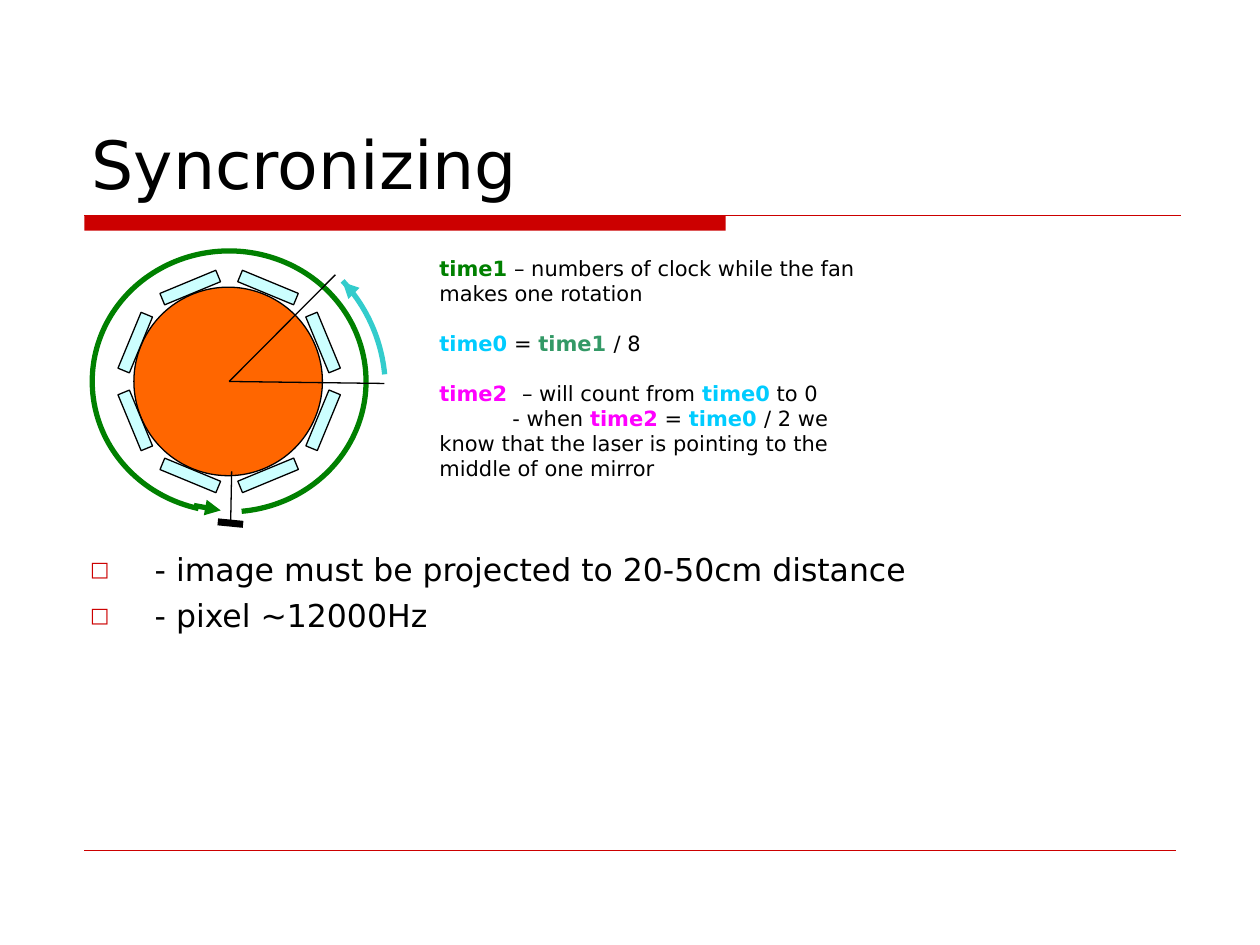
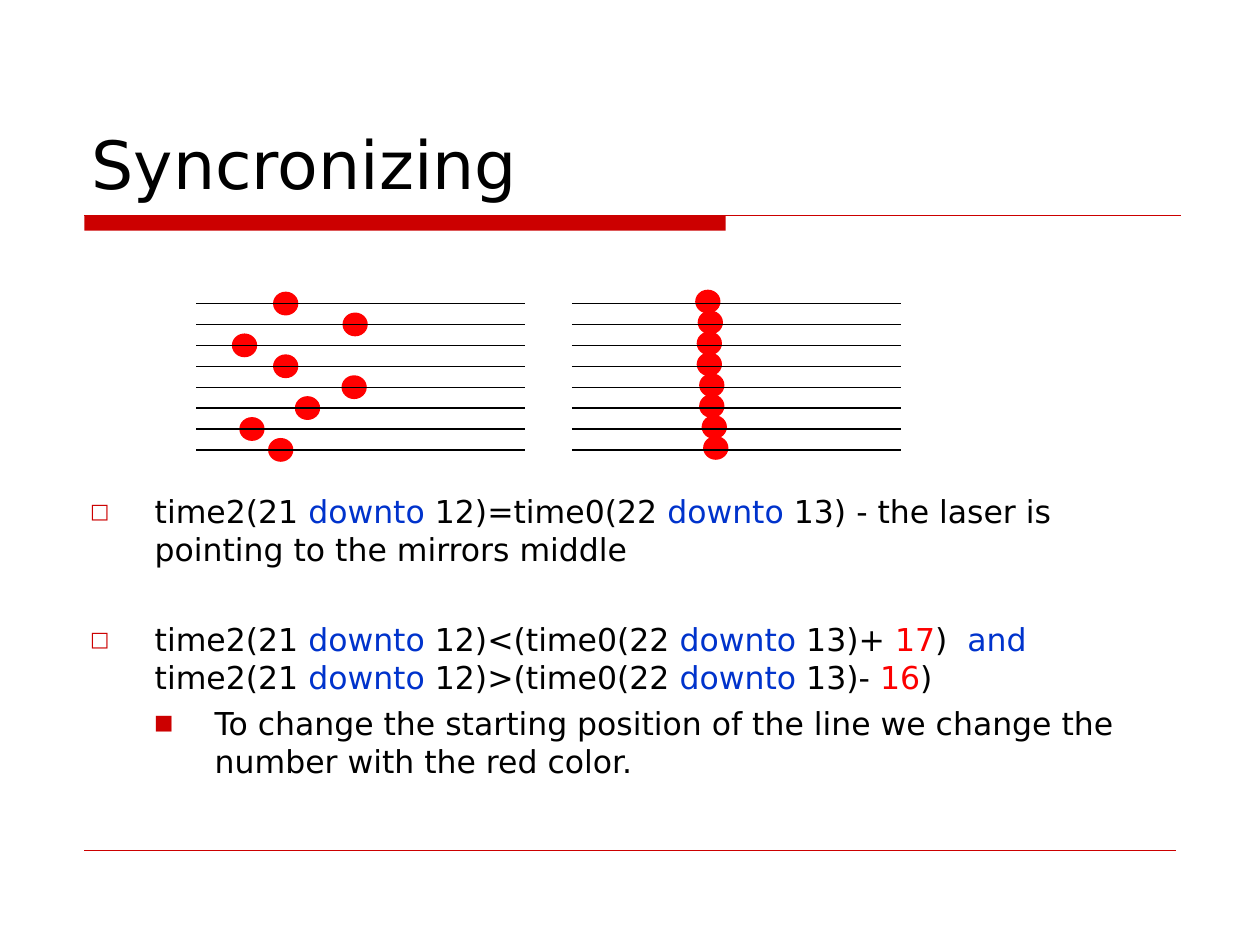
import math

import lxml.etree
import pptx
import pptx.dml.color
import pptx.enum.shapes
import pptx.enum.text
import pptx.oxml.ns
import pptx.util

Cm = pptx.util.Cm
Pt = pptx.util.Pt
PRESET = pptx.enum.shapes.MSO_SHAPE
qn = pptx.oxml.ns.qn

FONT = "DejaVu Sans"
COLOURS = {
    "black": "000000",
    "white": "FFFFFF",
    "accent": "CC0000",
    "disc": "FF6600",
    "mirror": "CCFFFF",
    "rotation": "008000",
    "sector": "33CCCC",
    "time0": "00CCFF",
    "time1": "339966",
    "time2": "FF00FF",
    "keyword": "0033CC",
    "offset": "FC0000",
    "dot": "FF0000",
}
BULLETS = {0: ("□", 1.3, 1.3), 1: ("■", 2.51, 1.22)}


def rgb(name):
    return pptx.dml.color.RGBColor.from_string(COLOURS[name])


def add_preset(slide, preset, box, fill=None, line=None, weight=0.75):
    shape = slide.shapes.add_shape(preset, *map(Cm, box))
    shape.shadow.inherit = False
    if fill:
        shape.fill.solid()
        shape.fill.fore_color.rgb = rgb(fill)
    else:
        shape.fill.background()
    if line:
        shape.line.color.rgb = rgb(line)
        shape.line.width = Pt(weight)
    else:
        shape.line.fill.background()
    return shape


def add_line(slide, start, end, colour="black", weight=0.75, arrow=False):
    line = slide.shapes.add_connector(
        pptx.enum.shapes.MSO_CONNECTOR.STRAIGHT, *map(Cm, (*start, *end)))
    line.line.color.rgb = rgb(colour)
    line.line.width = Pt(weight)
    if arrow:
        outline = line.line._get_or_add_ln()
        lxml.etree.SubElement(outline, qn("a:tailEnd"), type="triangle")
    properties = line._element.find(qn("p:spPr"))
    lxml.etree.SubElement(properties, qn("a:effectLst"))


def add_arc(slide, centre, radii, start, end, colour):
    (x, y), (rx, ry) = centre, radii
    arc = add_preset(slide, PRESET.ARC, (x - rx, y - ry, 2 * rx, 2 * ry),
                     line=colour, weight=3)
    for index, degrees in enumerate((start, end)):
        arc.adjustments[index] = degrees * 0.6


def add_text_frame(slide, box):
    frame = slide.shapes.add_textbox(*map(Cm, box)).text_frame
    frame.word_wrap = True
    return frame


def write_paragraph(frame, index, parts, size, bold_colours=False):
    paragraph = frame.add_paragraph() if index else frame.paragraphs[0]
    for text, colour in parts:
        run = paragraph.add_run()
        run.text = text
        run.font.name = FONT
        run.font.size = Pt(size)
        run.font.color.rgb = rgb(colour)
        run.font.bold = bold_colours and colour != "black"
    return paragraph


def add_bullet(paragraph, level):
    symbol, margin, hanging = BULLETS[level]
    properties = paragraph._p.get_or_add_pPr()
    properties.set("marL", str(Cm(margin)))
    properties.set("indent", str(-Cm(hanging)))
    colour = lxml.etree.SubElement(properties, qn("a:buClr"))
    lxml.etree.SubElement(colour, qn("a:srgbClr"), val=COLOURS["accent"])
    lxml.etree.SubElement(properties, qn("a:buSzPct"), val="65000")
    lxml.etree.SubElement(properties, qn("a:buFont"), typeface=FONT)
    lxml.etree.SubElement(properties, qn("a:buChar"), char=symbol)


def add_frame(deck, title, box=(1.7, 4.34, 22.1, 12.81)):
    slide = deck.slides.add_slide(deck.slide_layouts[6])
    left, top, width, height = box
    add_preset(slide, PRESET.RECTANGLE, (left, top, 12.93, 0.31), "accent")
    add_line(slide, (left, top), (left + width, top), "accent")
    add_line(slide, (left, top + height), (left + width - 0.1, top + height),
             "accent", 0.25)
    heading = add_text_frame(slide, (left - 0.1, top - 3.5, width + 0.13, 3.38))
    heading.vertical_anchor = pptx.enum.text.MSO_ANCHOR.BOTTOM
    write_paragraph(heading, 0, [(title, "black")], 38)
    return slide


def add_bullets(slide, box, items):
    frame = add_text_frame(slide, box)
    for index, (level, space_before, parts) in enumerate(items):
        paragraph = write_paragraph(frame, index, parts, 18)
        add_bullet(paragraph, level)
        if index:
            paragraph.space_before = Pt(space_before)


def add_mirror_wheel(slide, box):
    left, top, width, height = box
    hub_x, hub_y = left + width / 2, top + height / 2
    disc_radius, mirror_radius = 1.9, 2.05
    mirror_width, mirror_length = 0.25, 1.22

    def from_hub(x, y):
        return hub_x + x, hub_y + y

    add_preset(slide, PRESET.OVAL,
               (*from_hub(-disc_radius - 0.02, -disc_radius),
                2 * disc_radius, 2 * disc_radius), "disc", "black")
    for step in range(8):
        degrees = 22.5 + 45 * step
        x = mirror_radius * math.cos(math.radians(degrees))
        y = mirror_radius * math.sin(math.radians(degrees))
        mirror = add_preset(
            slide, PRESET.RECTANGLE,
            (*from_hub(x - mirror_width / 2, y - mirror_length / 2),
             mirror_width, mirror_length), "mirror", "black")
        mirror.rotation = degrees

    add_line(slide, from_hub(0.05, 1.81), from_hub(0.03, 2.83))
    add_line(slide, from_hub(0.28, 2.88), from_hub(-0.23, 2.83), weight=4)
    add_arc(slide, (hub_x, hub_y), (width / 2, height / 2),
            103.5, 84.5, "rotation")
    add_line(slide, from_hub(-0.71, 2.5), from_hub(-0.17, 2.6),
             "rotation", 3, True)
    add_arc(slide, from_hub(0, 0.16), (3.15, 3.18), 316.3, 354.5, "sector")
    add_line(slide, from_hub(2.49, -1.8), from_hub(2.29, -2),
             "sector", 3, True)
    for sight_end in ((3.13, 0.04), (2.14, -2.15)):
        add_line(slide, (hub_x, hub_y), from_hub(*sight_end))


def add_timing_notes(slide, box):
    frame = add_text_frame(slide, box)
    notes = [
        (14, [("time1", "rotation"),
              (" – numbers of clock while the fan makes one rotation", "black")]),
        (14, [("time0", "time0"), (" = ", "black"), ("time1 ", "time1"),
              ("/ 8", "black")]),
        (14, [("time2  ", "time2"), ("– will count from ", "black"),
              ("time0", "time0"), (" to 0", "black")]),
        (0, [("- when ", "black"), ("time2", "time2"), (" = ", "black"),
             ("time0 ", "time0"),
             ("/ 2 we know that the laser is pointing to the middle of one mirror",
              "black")]),
    ]
    for index, (space_before, parts) in enumerate(notes):
        paragraph = write_paragraph(frame, index, parts, 12, True)
        if index:
            paragraph.space_before = Pt(space_before)
    paragraph._p.get_or_add_pPr().set("indent", str(Cm(1.47)))


def add_scan_lines(slide, box, dot_offsets, dot_shift=0):
    left, top, width, height = box
    pitch = height / (len(dot_offsets) - 1)
    dot_width, dot_height = 0.51, 0.48
    for row, offset in enumerate(dot_offsets):
        add_preset(slide, PRESET.OVAL,
                   (left + offset - dot_width / 2,
                    top + row * pitch + dot_shift - dot_height / 2,
                    dot_width, dot_height), "dot")
    for row in range(len(dot_offsets)):
        y = top + row * pitch
        add_line(slide, (left, y), (left + width, y))


def range_parts(signal, high, low, ending):
    return [(f"{signal}({high} ", "black"), ("downto", "keyword"),
            (f" {low}){ending}", "black")]


def build_wheel_slide(deck):
    slide = add_frame(deck, "Syncronizing")
    add_mirror_wheel(slide, (1.86, 5.06, 5.52, 5.26))
    add_timing_notes(slide, (8.61, 5.03, 8.94, 5.51))
    add_bullets(slide, (1.57, 10.97, 22.23, 5.74), [
        (0, 0, [("- image must be projected to 20-50cm distance", "black")]),
        (0, 4.5, [("- pixel ~12000Hz", "black")]),
    ])


def build_scan_slide(deck):
    slide = add_frame(deck, "Syncronizing")
    add_scan_lines(slide, (3.96, 6.12, 6.63, 2.95),
                   (1.8, 3.2, 0.97, 1.8, 3.18, 2.24, 1.12, 1.7))
    add_scan_lines(slide, (11.53, 6.12, 6.63, 2.95),
                   (2.74, 2.79, 2.77, 2.77, 2.82, 2.82, 2.87, 2.9), -0.04)
    add_bullets(slide, (1.57, 9.8, 22.23, 6.91), [
        (0, 0, range_parts("time2", 21, 12, "=")
         + range_parts("time0", 22, 13,
                       " - the laser is pointing to the mirrors middle")),
        (0, 30, range_parts("time2", 21, 12, "<(")
         + range_parts("time0", 22, 13, "+ ")
         + [("17", "offset"), (")  ", "black"), ("and", "keyword")]
         + range_parts(" time2", 21, 12, ">(")
         + range_parts("time0", 22, 13, "- ")
         + [("16", "offset"), (")", "black")]),
        (1, 4.5, [("To change the starting position of the line we change "
                   "the number with the red color.", "black")]),
    ])


def main():
    deck = pptx.Presentation()
    deck.slide_width, deck.slide_height = Cm(25.4), Cm(19.05)
    build_wheel_slide(deck)
    build_scan_slide(deck)
    deck.save("out.pptx")


if __name__ == "__main__":
    main()
